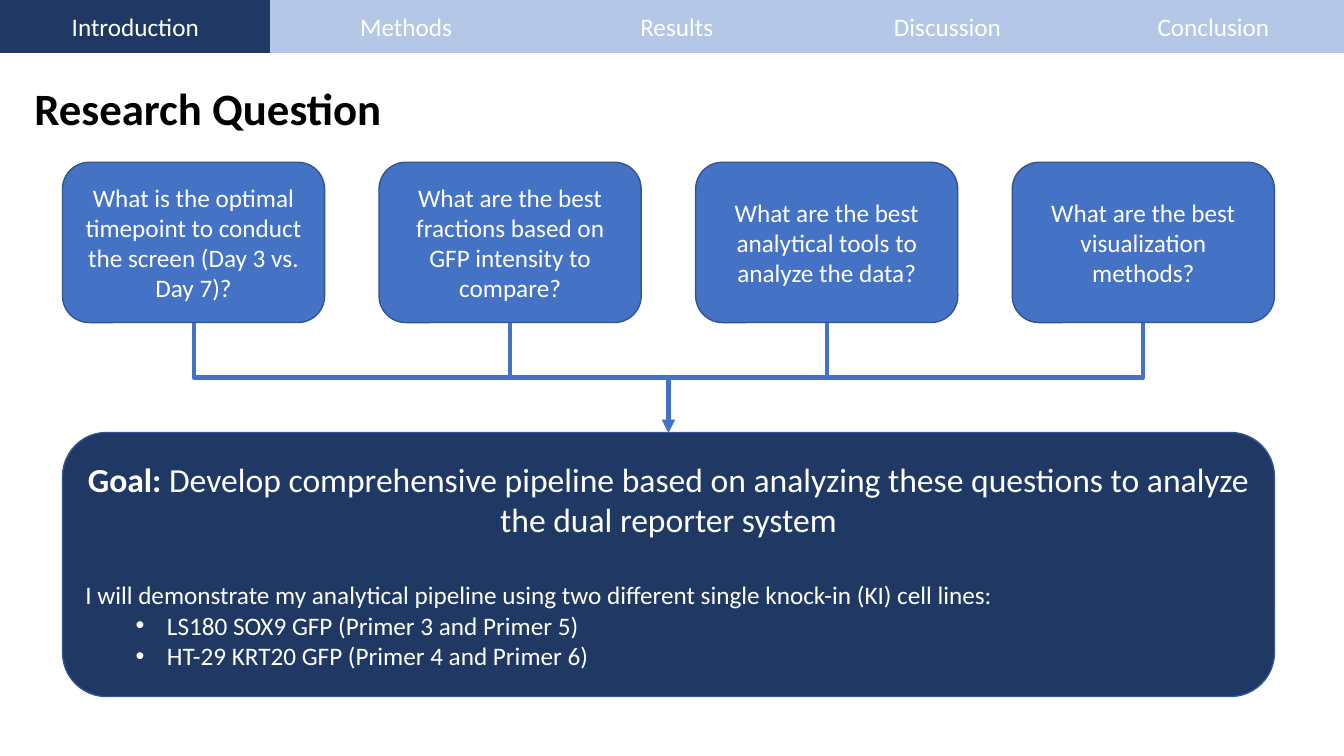
from lxml import etree
from pptx import Presentation
from pptx.dml.color import RGBColor
from pptx.enum.shapes import MSO_CONNECTOR, MSO_SHAPE
from pptx.enum.text import MSO_ANCHOR, MSO_AUTO_SIZE, PP_ALIGN
from pptx.oxml.ns import qn
from pptx.util import Inches, Pt

RECTANGLE = MSO_SHAPE.RECTANGLE
ROUNDED = MSO_SHAPE.ROUNDED_RECTANGLE
ELBOW = MSO_CONNECTOR.ELBOW
MIDDLE = MSO_ANCHOR.MIDDLE
NO_AUTOFIT = MSO_AUTO_SIZE.NONE
LEFT, CENTER = PP_ALIGN.LEFT, PP_ALIGN.CENTER
BOTTOM_SITE, TOP_SITE = 2, 0

NAVY, PALE, BLUE, EDGE = "203864", "B4C7E7", "4472C4", "325491"
WHITE, BLACK = "FFFFFF", "000000"
FONT = "Calibri"

SECTIONS = ["Introduction", "Methods", "Results", "Discussion", "Conclusion"]
SLIDE_WIDTH, TAB_STEP, TAB_HEIGHT = 13.33, 2.685, 0.52
QUESTIONS = [
    "What is the optimal timepoint to conduct the screen (Day 3 vs. Day 7)?",
    "What are the best fractions based on GFP intensity to compare?",
    "What are the best analytical tools to analyze the data?",
    "What are the best visualization methods?",
]
CARD_LEFT, CARD_TOP, CARD_STEP = 0.62, 1.61, 3.14
CARD_WIDTH, CARD_HEIGHT = 2.6, 1.59
GOAL_BOX = (0.62, 4.29, 12.02, 2.62)
GOAL = ("Develop comprehensive pipeline based on analyzing these questions "
        "to analyze the dual reporter system")
DEMO = ("I will demonstrate my analytical pipeline using two different "
        "single knock-in (KI) cell lines:")
CELL_LINES = ["LS180 SOX9 GFP (Primer 3 and Primer 5)",
              "HT-29 KRT20 GFP (Primer 4 and Primer 6)"]


def color(value):
    """Turn a hex string into a colour."""
    return RGBColor.from_string(value)


def apply_format(target, values):
    """Set each named attribute on the target."""
    for name, value in values.items():
        setattr(target, name, value)


def add_run(paragraph, text, size=18, bold=False, text_color=WHITE):
    """Append a formatted run to a paragraph."""
    run = paragraph.add_run()
    run.text = text
    apply_format(run.font, {"name": FONT, "size": Pt(size), "bold": bold})
    run.font.color.rgb = color(text_color)


def add_title(slide, text):
    """Move the title placeholder and fill it."""
    title = slide.shapes.title
    apply_format(title, {"left": Inches(0.24), "top": Inches(0.75),
                         "width": Inches(11.9), "height": Inches(0.64)})
    apply_format(title.text_frame, {"auto_size": NO_AUTOFIT, "word_wrap": True,
                                    "vertical_anchor": MIDDLE})
    paragraph = title.text_frame.paragraphs[0]
    paragraph.alignment = LEFT
    add_run(paragraph, text, 32, True, BLACK)


def add_box(slide, kind, box, fill, line, text=""):
    """Add a filled shape with centred text."""
    shape = slide.shapes.add_shape(kind, *map(Inches, box))
    shape.shadow.inherit = False
    shape.fill.solid()
    shape.fill.fore_color.rgb = color(fill)
    shape.line.color.rgb = color(line)
    shape.line.width = Pt(1)
    apply_format(shape.text_frame, {"word_wrap": True, "vertical_anchor": MIDDLE})
    paragraph = shape.text_frame.paragraphs[0]
    paragraph.alignment = CENTER
    if text:
        add_run(paragraph, text)
    return shape


def add_tabs(slide, active):
    """Add the row of section tabs across the top."""
    for index, section in enumerate(SECTIONS):
        left = index * TAB_STEP
        width = min(TAB_STEP, SLIDE_WIDTH - left)
        fill = NAVY if section == active else PALE
        add_box(slide, RECTANGLE, (left, 0, width, TAB_HEIGHT), fill, fill, section)


def add_bullet(paragraph):
    """Give a paragraph a round bullet and a hanging indent."""
    properties = paragraph._p.get_or_add_pPr()
    properties.set("marL", str(Inches(0.81)))
    properties.set("indent", str(Inches(-0.31)))
    font = etree.SubElement(properties, qn("a:buFont"))
    font.set("typeface", "Arial")
    etree.SubElement(properties, qn("a:buChar")).set("char", "•")


def add_goal(slide):
    """Add the goal panel with its statement and cell lines."""
    panel = add_box(slide, ROUNDED, GOAL_BOX, NAVY, EDGE)
    frame = panel.text_frame
    add_run(frame.paragraphs[0], "Goal: ", 24, True)
    add_run(frame.paragraphs[0], GOAL, 24)
    demo = frame.add_paragraph()
    apply_format(demo, {"alignment": LEFT, "space_before": Pt(29)})
    add_run(demo, DEMO)
    for cell_line in CELL_LINES:
        paragraph = frame.add_paragraph()
        apply_format(paragraph, {"alignment": LEFT, "level": 1})
        add_bullet(paragraph)
        add_run(paragraph, cell_line)
    return panel


def add_elbow_arrow(slide, source, target):
    """Join a box's bottom to a lower box's top, turning halfway down."""
    start_x = source.left + source.width // 2
    start_y = source.top + source.height
    end_x, end_y = target.left + target.width // 2, target.top
    drop, span = end_y - start_y, abs(end_x - start_x)
    connector = slide.shapes.add_connector(ELBOW, start_x, start_y, end_x, end_y)
    connector.begin_connect(source, BOTTOM_SITE)
    connector.end_connect(target, TOP_SITE)
    apply_format(connector, {"left": (start_x + end_x - drop) // 2,
                             "top": (start_y + end_y - span) // 2,
                             "width": drop, "height": span})
    rightward = end_x > start_x
    properties = connector._element.spPr
    transform = properties.find(qn("a:xfrm"))
    transform.set("rot", str((270 if rightward else 90) * 60000))
    transform.set("flipH", "1" if rightward else "0")
    transform.set("flipV", "0")
    connector.line.color.rgb = color(BLUE)
    connector.line.width = Pt(3)
    line = properties.find(qn("a:ln"))
    etree.SubElement(line, qn("a:tailEnd")).set("type", "triangle")
    etree.SubElement(properties, qn("a:effectLst"))


def main():
    """Build and save the slide."""
    presentation = Presentation()
    presentation.slide_width = Inches(SLIDE_WIDTH)
    presentation.slide_height = Inches(7.5)
    slide = presentation.slides.add_slide(presentation.slide_layouts[5])
    add_title(slide, "Research Question")
    add_tabs(slide, "Introduction")
    cards = [
        add_box(slide, ROUNDED,
                (CARD_LEFT + index * CARD_STEP, CARD_TOP, CARD_WIDTH, CARD_HEIGHT),
                BLUE, EDGE, question)
        for index, question in enumerate(QUESTIONS)
    ]
    goal = add_goal(slide)
    for card in cards:
        add_elbow_arrow(slide, card, goal)
    presentation.save("out.pptx")


if __name__ == "__main__":
    main()
